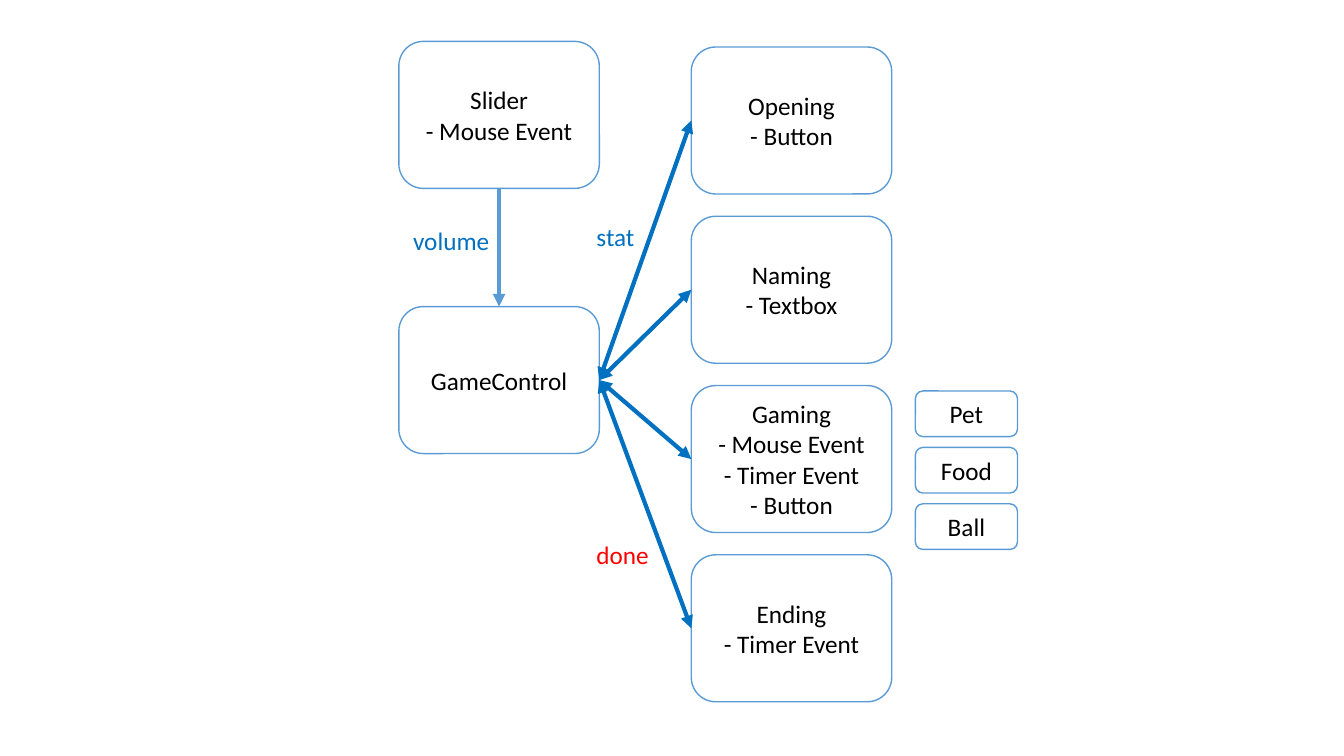
from pptx import Presentation
from pptx.dml.color import RGBColor
from pptx.enum.shapes import MSO_CONNECTOR, MSO_SHAPE
from pptx.enum.text import MSO_ANCHOR, MSO_AUTO_SIZE, PP_ALIGN
from pptx.oxml.ns import qn
from pptx.util import Pt
from lxml.etree import SubElement

SKY, BLUE, RED, BLACK, WHITE = "5B9BD5", "0070C0", "FF0000", "000000", "FFFFFF"
STAGES = [
    ["Opening", "- Button"],
    ["Naming", "- Textbox"],
    ["Gaming\n- Mouse Event\n- Timer Event\n- Button"],
    ["Ending", "- Timer Event"],
]
ITEMS = ["Pet", "Food", "Ball"]
LABELS = [
    ("stat", 419, 154.8, 42, BLUE),
    ("done", 419, 381.6, 52.5, RED),
    ("volume", 288, 157.7, 70, BLUE),
]
BOX = (143.2, 105)
CHIP = (73, 32.6)
LEFT, RIGHT, SIDE = 284.9, 493.8, 653.8
STAGE_TOP, STAGE_STEP = 33.6, 120.9
ITEM_TOP, ITEM_STEP = 279.3, 40.3


def paint(color, code):
    color.rgb = RGBColor.from_string(code)


def write(frame, lines, color=BLACK, align=PP_ALIGN.CENTER, size=18):
    for i, line in enumerate(lines):
        para = frame.add_paragraph() if i else frame.paragraphs[0]
        para.text = line
        para.alignment = align
        for run in para.runs:
            run.font.name = "Calibri"
            run.font.size = Pt(size)
            paint(run.font.color, color)


def box(lines, x, y, size):
    shape = slide.shapes.add_shape(
        MSO_SHAPE.ROUNDED_RECTANGLE, Pt(x), Pt(y), *map(Pt, size))
    shape.shadow.inherit = False
    shape.fill.solid()
    paint(shape.fill.fore_color, WHITE)
    paint(shape.line.color, SKY)
    shape.line.width = Pt(1)
    shape.text_frame.vertical_anchor = MSO_ANCHOR.MIDDLE
    write(shape.text_frame, lines)
    return shape


def label(text, x, y, width, color):
    frame = slide.shapes.add_textbox(Pt(x), Pt(y), Pt(width), Pt(29)).text_frame
    frame.word_wrap = False
    frame.auto_size = MSO_AUTO_SIZE.SHAPE_TO_FIT_TEXT
    write(frame, [text], color=color, align=PP_ALIGN.LEFT)


def arrow(start, begin, stop, end, color, tips):
    link = slide.shapes.add_connector(MSO_CONNECTOR.STRAIGHT, 0, 0, 0, 0)
    link.begin_connect(start, begin)
    link.end_connect(stop, end)
    paint(link.line.color, color)
    link.line.width = Pt(3)
    props = link.element.spPr
    for tip in tips:
        SubElement(props.get_or_add_ln(), qn("a:" + tip), type="triangle")
    SubElement(props, qn("a:effectLst"))


deck = Presentation()
deck.slide_width, deck.slide_height = Pt(960), Pt(540)
slide = deck.slides.add_slide(deck.slide_layouts[6])

game = box(["GameControl"], LEFT, 219, BOX)
stages = [box(lines, RIGHT, STAGE_TOP + i * STAGE_STEP, BOX)
          for i, lines in enumerate(STAGES)]
for stage in stages:
    arrow(game, 3, stage, 1, BLUE, ["headEnd", "tailEnd"])
slider = box(["Slider", "- Mouse Event"], LEFT, 29.6, BOX)
arrow(slider, 2, game, 0, SKY, ["tailEnd"])
for entry in LABELS:
    label(*entry)
for i, name in enumerate(ITEMS):
    box([name], SIDE, ITEM_TOP + i * ITEM_STEP, CHIP)

deck.save("out.pptx")
